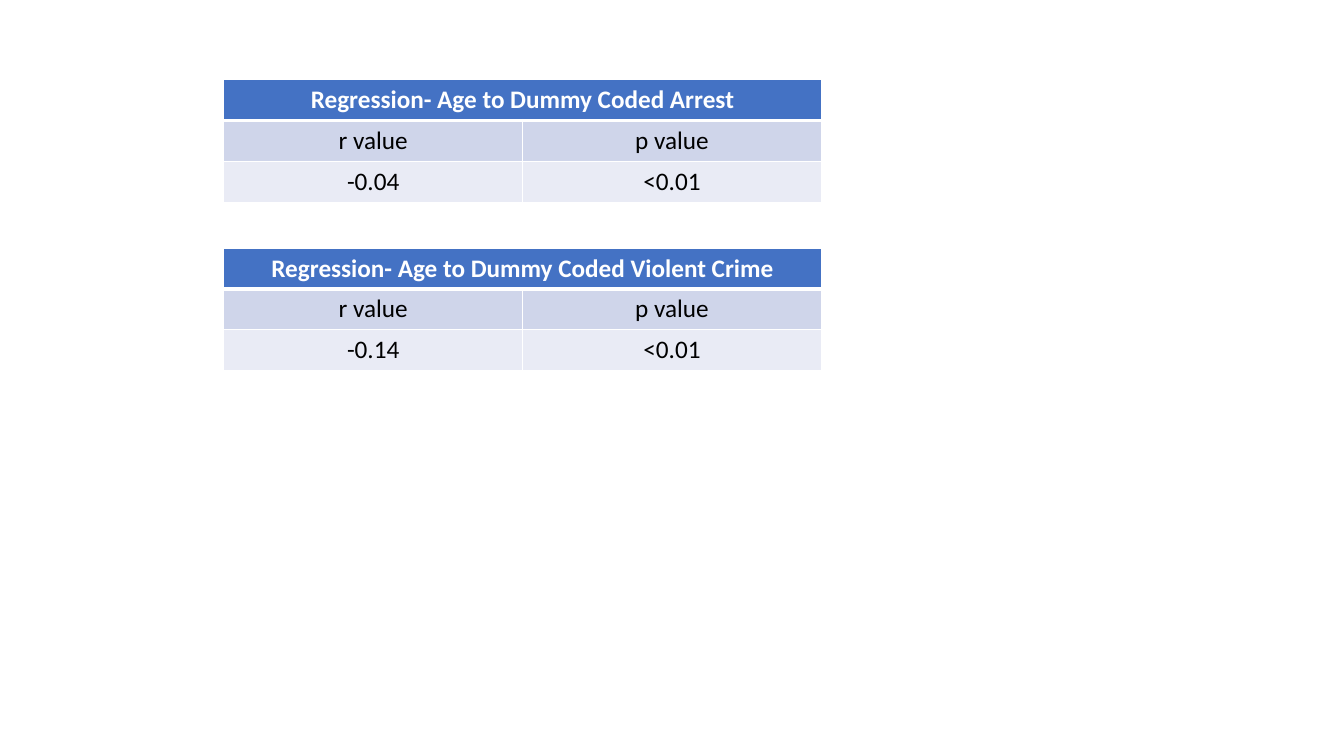
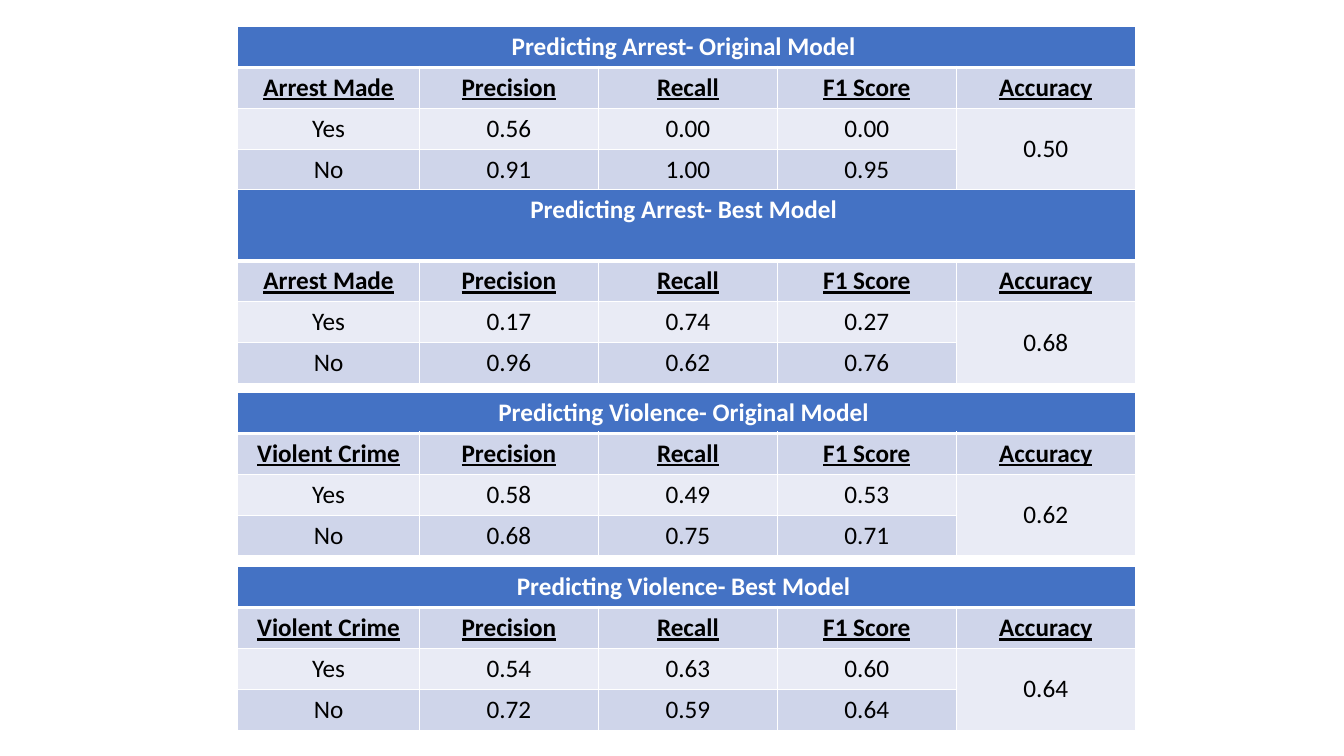
import pptx
import pptx.util
import pptx.dml.color
import pptx.enum.text
import pptx.oxml
import pptx.oxml.ns

Cm, Pt = pptx.util.Cm, pptx.util.Pt
RGB = pptx.dml.color.RGBColor
ANCHOR = pptx.enum.text.MSO_ANCHOR

WHITE = RGB(0xFF, 0xFF, 0xFF)
BLACK = RGB(0x00, 0x00, 0x00)
BLUE = RGB(0x44, 0x72, 0xC4)
BAND = RGB(0xCF, 0xD5, 0xEA)
PALE = RGB(0xE9, 0xEB, 0xF5)
FONT = "Calibri"
SIZE = 18
ROW = 1.03
THIN, THICK = 1, 3

# Each table: top in cm, title, rows below the title
TESTS = [
    (2.01, "Regression- Age to Dummy Coded Arrest", ["-0.04", "<0.01"]),
    (6.25, "Regression- Age to Dummy Coded Violent Crime", ["-0.14", "<0.01"]),
]
# Each table: top in cm, title height in cm, title, class, yes, no, accuracy
MODELS = [
    (0.67, ROW, "Predicting Arrest- Original Model ", "Arrest Made",
     ["0.56", "0.00", "0.00"], ["0.91", "1.00", "0.95"], "0.50"),
    (4.78, 1.79, "Predicting Arrest- Best Model ", "Arrest Made",
     ["0.17", "0.74", "0.27"], ["0.96", "0.62", "0.76"], "0.68"),
    (9.89, ROW, "Predicting Violence- Original Model ", "Violent Crime",
     ["0.58", "0.49", "0.53"], ["0.68", "0.75", "0.71"], "0.62"),
    (14.28, ROW, "Predicting Violence- Best Model ", "Violent Crime",
     ["0.54", "0.63", "0.60"], ["0.72", "0.59", "0.64"], "0.64"),
]
SCORES = ["Precision", "Recall", "F1 Score", "Accuracy"]
TEST_COLS = [7.53] * 2
MODEL_COLS = [4.58] + [4.51] * 4


def add_edges(cell, top, base):
    """Draw white borders; top and base are widths in points."""
    props = cell._tc.get_or_add_tcPr()
    sides = [("L", THIN), ("R", THIN), ("T", top), ("B", base)]
    for spot, (side, width) in enumerate(sides):
        props.insert(spot, pptx.oxml.parse_xml(
            f'<a:ln{side} {pptx.oxml.ns.nsdecls("a")} w="{Pt(width)}">'
            f'<a:solidFill><a:srgbClr val="{WHITE}"/></a:solidFill>'
            f'</a:ln{side}>'))


def style_cell(cell, row, anchor, under):
    cell.fill.solid()
    cell.fill.fore_color.rgb = BLUE if row == 0 else BAND if row % 2 else PALE
    cell.vertical_anchor = anchor
    add_edges(cell, THICK if row == 1 else THIN, THICK if row == 0 else THIN)
    para = cell.text_frame.paragraphs[0]
    para.alignment = pptx.enum.text.PP_ALIGN.CENTER
    for run in para.runs:
        font = run.font
        font.name, font.size = FONT, Pt(SIZE)
        font.color.rgb = WHITE if row == 0 else BLACK
        font.bold = row == 0 or under
        font.underline = under


def add_grid(slide, left, top, widths, title, rows, anchor,
             head=ROW, under=False):
    """Add a table with a title across it; under marks underlined labels."""
    heights = [head] + [ROW] * len(rows)
    table = slide.shapes.add_table(
        len(heights), len(widths), Cm(left), Cm(top),
        Cm(sum(widths)), Cm(sum(heights))).table
    for col, width in zip(table.columns, widths):
        col.width = Cm(width)
    for line, height in zip(table.rows, heights):
        line.height = Cm(height)
    texts = [[title] + [""] * (len(widths) - 1)] + rows
    for r, line in enumerate(texts):
        for c, text in enumerate(line):
            cell = table.cell(r, c)
            cell.text_frame.text = text
            style_cell(cell, r, anchor, under and r == 1)
    table.cell(0, 0).merge(table.cell(0, len(widths) - 1))
    return table


def add_tests(slide):
    for top, title, values in TESTS:
        add_grid(slide, 5.64, top, TEST_COLS, title,
                 [["r value", "p value"], values], ANCHOR.TOP)


def add_models(slide):
    for top, head, title, label, yes, no, total in MODELS:
        rows = [[label] + SCORES, ["Yes"] + yes + [total], ["No"] + no + [""]]
        table = add_grid(slide, 5.99, top, MODEL_COLS, title, rows,
                         ANCHOR.MIDDLE, head, True)
        if head > ROW:
            table.cell(0, 0).vertical_anchor = ANCHOR.TOP
        table.cell(2, 4).merge(table.cell(3, 4))


def main():
    deck = pptx.Presentation()
    deck.slide_width, deck.slide_height = Cm(33.87), Cm(19.05)
    for build in (add_tests, add_models):
        build(deck.slides.add_slide(deck.slide_layouts[6]))
    deck.save("out.pptx")


if __name__ == "__main__":
    main()
